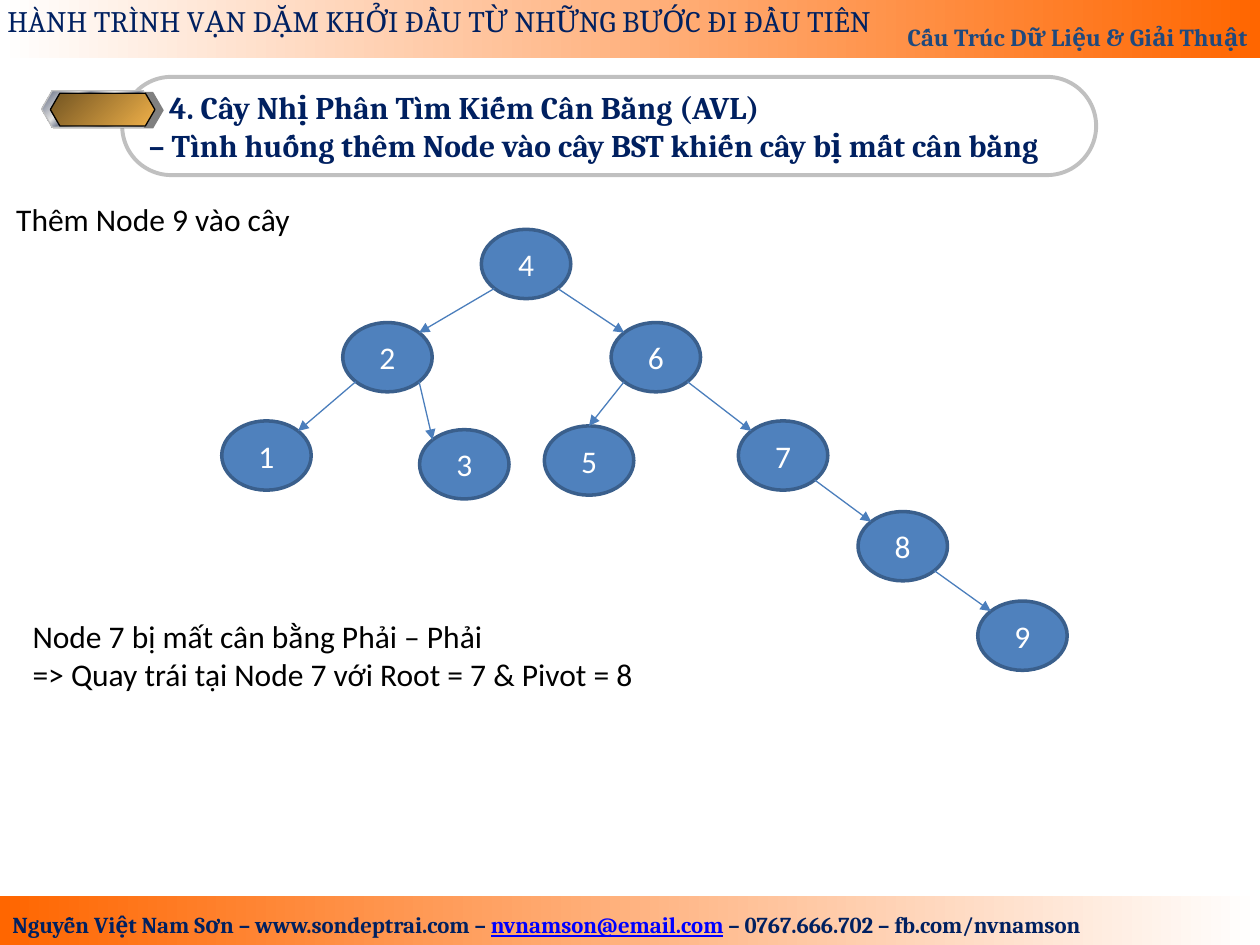
from math import sqrt

from lxml.etree import SubElement
from pptx import Presentation
from pptx.dml.color import RGBColor
from pptx.enum.shapes import MSO_CONNECTOR, MSO_SHAPE
from pptx.enum.text import MSO_ANCHOR, PP_ALIGN
from pptx.oxml.ns import qn
from pptx.util import Inches, Pt

# Grid of 100 columns by 75 rows; every box is (left, top, width, height)
COLUMNS, ROWS = 100, 75
CELL = Inches(10) // COLUMNS
NAVY, ORANGE, WHITE, SILVER = "002060", "FF6600", "FFFFFF", "C0C0C0"
HEADING_FONT, BODY_FONT = "Cambria", "Calibri"

NODE_SIZE = (7.1, 5.5)
NODES = {  # value: left, top inside the tree box
    4: (20.6, 0), 2: (9.6, 7.4), 6: (30.9, 7.4),
    1: (0, 15.2), 3: (15.7, 15.9), 5: (25.6, 15.6), 7: (41, 15.2),
    8: (50.5, 22.4), 9: (60, 29.5),
}
DIAGONAL = sqrt(0.5)
LOWER_LEFT, LOWER_RIGHT = (-DIAGONAL, DIAGONAL), (DIAGONAL, DIAGONAL)
UPPER_LEFT, UPPER_RIGHT = (-DIAGONAL, -DIAGONAL), (DIAGONAL, -DIAGONAL)
TOP = (0, -1)
EDGES = [  # parent, side it leaves, child, side it enters
    (4, LOWER_LEFT, 2, UPPER_RIGHT), (4, LOWER_RIGHT, 6, UPPER_LEFT),
    (2, LOWER_LEFT, 1, UPPER_RIGHT), (2, LOWER_RIGHT, 3, UPPER_LEFT),
    (6, LOWER_LEFT, 5, TOP), (6, LOWER_RIGHT, 7, UPPER_LEFT),
    (7, LOWER_RIGHT, 8, UPPER_LEFT), (8, LOWER_RIGHT, 9, UPPER_LEFT),
]
METAL_STOPS = [
    (0, "E6E6E6"), (7, "7D8496"), (26, "E6E6E6"), (34, "7D8496"),
    (46, "E6E6E6"), (50, WHITE), (54, "E6E6E6"), (66, "7D8496"),
    (74, "E6E6E6"), (93, "7D8496"), (100, "E6E6E6"),
]


def color(value):
    return RGBColor.from_string(value)


def cells(*counts):
    return [round(count * CELL) for count in counts]


def within(box, left, top, width, height):
    return box[0] + left, box[1] + top, width, height


def add_gradient(shape, stops, angle=0):
    shape.fill.gradient()
    shape.fill.gradient_angle = angle
    stop_list = shape.element.spPr.find(".//" + qn("a:gsLst"))
    for old_stop in list(stop_list):
        stop_list.remove(old_stop)
    for position, value in stops:
        stop = SubElement(stop_list, qn("a:gs"), pos=str(position * 1000))
        SubElement(stop, qn("a:srgbClr"), val=value)


def add_block(slide, kind, box, fill=None, stops=None, angle=0, line=None, weight=0.75):
    block = slide.shapes.add_shape(kind, *cells(*box))
    block.shadow.inherit = False
    if stops:
        add_gradient(block, stops, angle)
    elif fill:
        block.fill.solid()
        block.fill.fore_color.rgb = color(fill)
    else:
        block.fill.background()
    if line:
        block.line.color.rgb = color(line)
        block.line.width = Pt(weight)
    else:
        block.line.fill.background()
    return block


def style(font, size, face, value, bold=False):
    font.size, font.name, font.bold = Pt(size), face, bold
    font.color.rgb = color(value)


def write(shape, text, size, face, value, bold=False, align=PP_ALIGN.LEFT, wrap=True):
    frame = shape.text_frame
    frame.word_wrap = wrap
    frame.text = text
    for paragraph in frame.paragraphs:
        paragraph.alignment = align
        for run in paragraph.runs:
            style(run.font, size, face, value, bold)
    return frame


def add_header(slide, box):
    banner = add_block(slide, MSO_SHAPE.RECTANGLE, box, stops=[(0, WHITE), (100, ORANGE)])
    frame = write(banner, "Cấu Trúc Dữ Liệu & Giải Thuật", 14, HEADING_FONT,
                  "1F497D", True, PP_ALIGN.RIGHT)
    frame.vertical_anchor = MSO_ANCHOR.BOTTOM
    frame.paragraphs[0].line_spacing = 1.8
    slogan = slide.shapes.add_textbox(*cells(*within(box, -0.4, -0.3, 74.2, 3.9)))
    write(slogan, "HÀNH TRÌNH VẠN DẶM KHỞI ĐẦU TỪ NHỮNG BƯỚC ĐI ĐẦU TIÊN",
          17, HEADING_FONT, NAVY)


def add_footer(slide, box):
    add_block(slide, MSO_SHAPE.RECTANGLE, box, stops=[(0, ORANGE), (100, WHITE)])
    contact = slide.shapes.add_textbox(*cells(*within(box, 0, 0.7, 90.4, 3.2)))
    contact.text_frame.word_wrap = False
    line = contact.text_frame.paragraphs[0]
    for text, value, underlined in [
        ("Nguyễn Việt Nam Sơn – www.sondeptrai.com – ", NAVY, False),
        ("nvnamson@email.com", "0000FF", True),
        (" – 0767.666.702 – fb.com/nvnamson", NAVY, False),
    ]:
        run = line.add_run()
        run.text = text
        style(run.font, 13, HEADING_FONT, value, True)
        run.font.underline = underlined


def add_title(slide, box):
    # Rounded frame
    frame_shape = add_block(slide, MSO_SHAPE.ROUNDED_RECTANGLE,
                            within(box, 6.4, 0, 77.3, 7.8), line=SILVER, weight=2.25)
    frame_shape.adjustments[0] = 0.5
    frame = write(frame_shape, "4. Cây Nhị Phân Tìm Kiếm Cân Bằng (AVL)\n"
                  "– Tình huống thêm Node vào cây BST khiến cây bị mất cân bằng",
                  18, HEADING_FONT, NAVY, True)
    frame.vertical_anchor = MSO_ANCHOR.MIDDLE
    frame.paragraphs[0]._p.get_or_add_pPr().set("indent", str(Inches(0.16)))
    # Badge: shadow, metal rim, gold face
    for place, look in [
        ((0.1, 1.2, 9.6, 2.9), dict(fill="808080")),
        ((0, 1.1, 8.9, 2.9), dict(stops=METAL_STOPS, angle=315, line=SILVER)),
        ((0.7, 1.3, 8.3, 2.6), dict(stops=[(0, "735522"), (100, "EFB049")],
                                    angle=315, line="000000")),
    ]:
        badge = add_block(slide, MSO_SHAPE.HEXAGON, within(box, *place), **look)
        badge.adjustments[0] = 0.29


def add_note(slide, box, text):
    note = slide.shapes.add_textbox(*cells(*box))
    write(note, text, 18, BODY_FONT, "000000", wrap=False)


def add_tree(slide, box):
    width, height = NODE_SIZE

    def rim_point(value, side):
        left, top = NODES[value]
        return cells(box[0] + left + width / 2 * (1 + side[0]),
                     box[1] + top + height / 2 * (1 + side[1]))

    for value, place in NODES.items():
        node = add_block(slide, MSO_SHAPE.OVAL, within(box, *place, width, height),
                         fill="4F81BD", line="3A5F8C", weight=2)
        frame = write(node, str(value), 18, BODY_FONT, WHITE, align=PP_ALIGN.CENTER)
        frame.vertical_anchor = MSO_ANCHOR.MIDDLE
    for parent, leaving, child, entering in EDGES:
        edge = slide.shapes.add_connector(MSO_CONNECTOR.STRAIGHT,
                                          *rim_point(parent, leaving),
                                          *rim_point(child, entering))
        edge.line.color.rgb = color("4B7EBC")
        edge.line.width = Pt(0.75)
        SubElement(edge.line._get_or_add_ln(), qn("a:tailEnd"), type="triangle")
        SubElement(edge.element.spPr, qn("a:effectLst"))


def main():
    deck = Presentation()
    deck.slide_width, deck.slide_height = cells(COLUMNS, ROWS)
    slide = deck.slides.add_slide(deck.slide_layouts[6])
    add_footer(slide, (0, 71.1, COLUMNS, 3.9))
    add_header(slide, (0, 0, COLUMNS, 4.6))
    add_title(slide, (3.3, 6.1, 83.7, 7.8))
    add_note(slide, (0.3, 15.4, 24.1, 4), "Thêm Node 9 vào cây")
    add_tree(slide, (17.6, 18.2, 67.1, 35))
    add_note(slide, (1.6, 48.5, 50.5, 7.1), "Node 7 bị mất cân bằng Phải – Phải\n"
             "=> Quay trái tại Node 7 với Root = 7 & Pivot = 8")
    deck.save("out.pptx")


if __name__ == "__main__":
    main()
